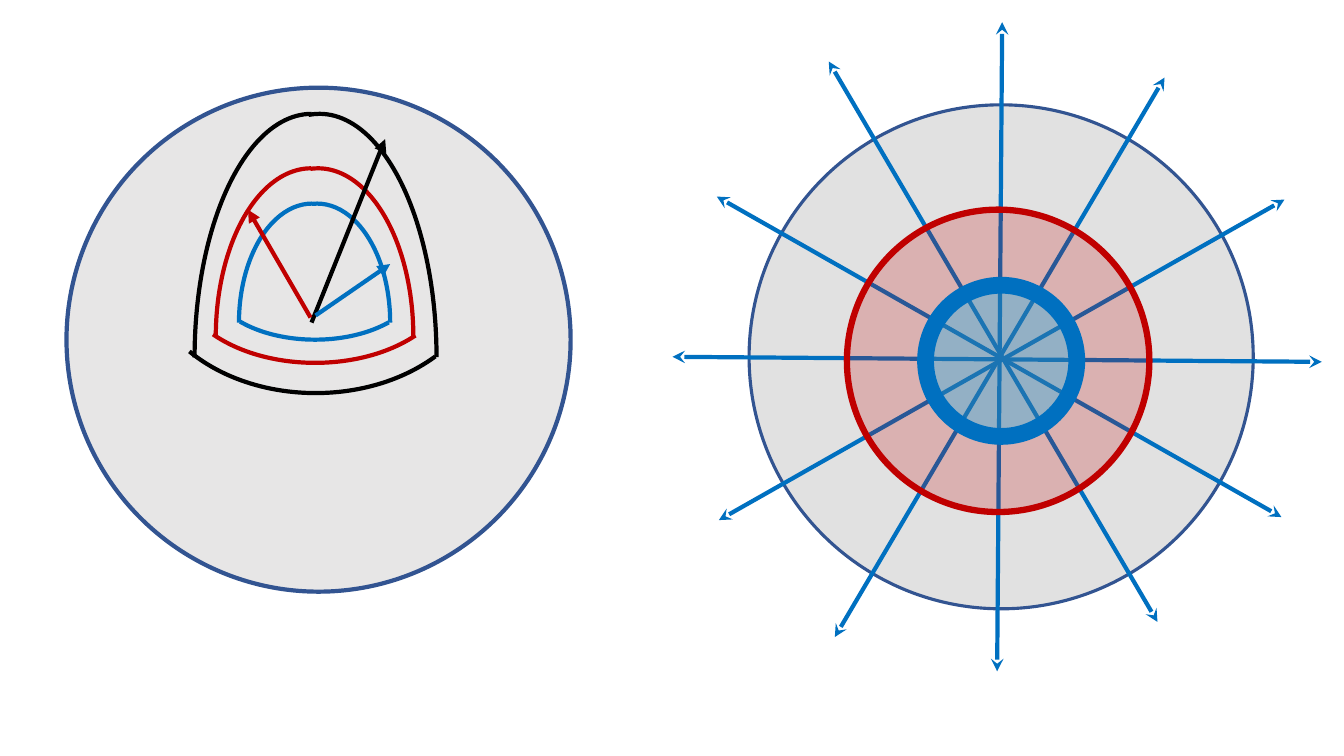
from lxml import etree
from pptx import Presentation
from pptx.dml.color import RGBColor
from pptx.enum.shapes import MSO_CONNECTOR, MSO_SHAPE
from pptx.oxml.ns import qn
from pptx.util import Inches, Pt

BLACK, RED, BLUE, NAVY = "000000", "C00000", "0070C0", "325491"


def add_outline(group, kind, box, color, width, fill=None, opacity=100):
    """Add a preset shape with a coloured line and an optional translucent fill."""
    sp = group.shapes.add_shape(kind, *[Inches(v) for v in box])
    sp.shadow.inherit = False
    sp.line.color.rgb = RGBColor.from_string(color)
    sp.line.width = Pt(width)
    if fill:
        sp.fill.solid()
        sp.fill.fore_color.rgb = RGBColor.from_string(fill)
        clr = sp._element.spPr.find(qn("a:solidFill"))[0]
        etree.SubElement(clr, qn("a:alpha")).set("val", str(opacity * 1000))
    else:
        sp.fill.background()
    return sp


def add_arrow(group, points, color, **ends):
    """Add a line; ends maps headEnd and tailEnd to arrowhead types."""
    line = group.shapes.add_connector(MSO_CONNECTOR.STRAIGHT, *[Inches(v) for v in points])
    line.line.color.rgb = RGBColor.from_string(color)
    line.line.width = Pt(3)
    ln = line.line._get_or_add_ln()
    for end, head in ends.items():
        etree.SubElement(ln, qn(f"a:{end}")).set("type", head)
    etree.SubElement(line._element.spPr, qn("a:effectLst"))


prs = Presentation()
prs.slide_width, prs.slide_height = Inches(13.33), Inches(7.5)
s = prs.slides.add_slide(prs.slide_layouts[6])

# Left: sphere with three nested cut-away sectors
sphere = s.shapes.add_group_shape()
add_outline(sphere, MSO_SHAPE.OVAL, (0.66, 0.87, 5, 5), NAVY, 3, "D0CECE", 50)

# Arc angles are in units of 5/3 degree: 162 is the top, 108 the left, 0 the right
RIGHT_SIDE, LEFT_SIDE = (160.45, 0), (108, 162)
WIDE_BASE, BASE = (22.23, 87.55), (18.74, 89.79)
sectors = [
    # colour, right x, left x, top, width, height, base box, base angles
    (BLACK, 2.01, 1.93, 1.13, 2.32, 4.83, (1.44, 1.38, 3.38, 2.52), WIDE_BASE),
    (RED, 2.21, 2.14, 1.67, 1.89, 3.34, (1.75, 1.85, 2.75, 1.75), BASE),
    (BLUE, 2.42, 2.37, 2.02, 1.45, 2.36, (2.07, 2.14, 2.11, 1.23), BASE),
]
for color, right, left, top, width, height, base_box, base_angles in sectors:
    for box, angles in [
        ((right, top, width, height), RIGHT_SIDE),
        ((left, top, width, height), LEFT_SIDE),
        (base_box, base_angles),
    ]:
        arc = add_outline(sphere, MSO_SHAPE.ARC, box, color, 3)
        arc.adjustments[0], arc.adjustments[1] = angles

radii = [
    ((3.09, 3.2, 3.82, 1.38), BLACK),
    ((3.08, 3.15, 2.46, 2.08), RED),
    ((3.13, 3.13, 3.87, 2.62), BLUE),
]
for points, color in radii:
    add_arrow(sphere, points, color, tailEnd="triangle")

# Right: concentric discs with rays going out
rays = s.shapes.add_group_shape()
add_outline(rays, MSO_SHAPE.OVAL, (7.43, 1.04, 5, 5), NAVY, 2.25, "808080", 23)
for points in [
    (6.67, 3.54, 13.11, 3.59),
    (9.94, 0.22, 9.89, 6.66),
    (8.28, 6.32, 11.55, 0.77),
    (7.13, 5.16, 12.74, 1.98),
    (7.11, 1.95, 12.71, 5.13),
    (8.22, 0.61, 11.48, 6.17),
]:
    add_arrow(rays, points, BLUE, headEnd="stealth", tailEnd="stealth")
add_outline(rays, MSO_SHAPE.OVAL, (8.4, 2.08, 3, 3), RED, 4.5, RED, 21)
add_outline(rays, MSO_SHAPE.OVAL, (9.18, 2.83, 1.5, 1.5), BLUE, 12, "00B0F0", 32)

prs.save("out.pptx")
